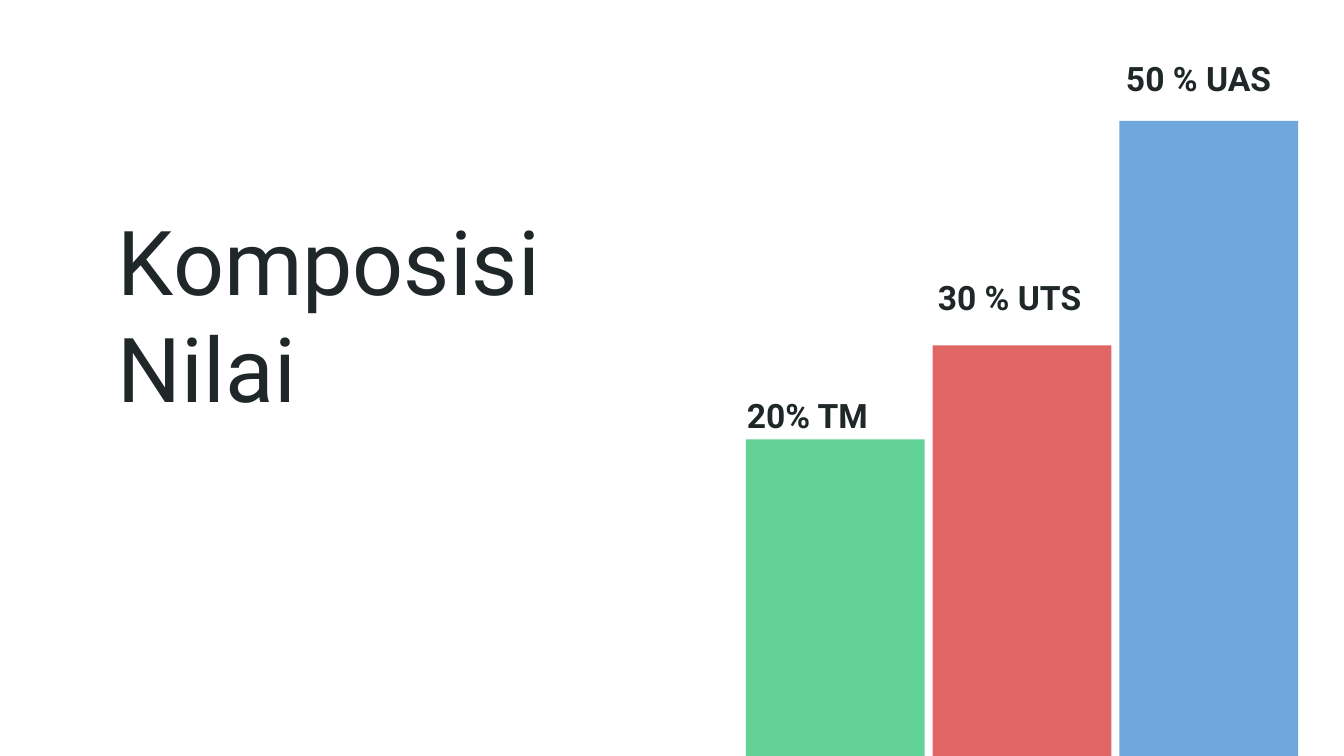
"""Build the grade composition slide: a title beside three rising bars."""
import dataclasses

import pptx
import pptx.dml.color
import pptx.enum.shapes
import pptx.enum.text
import pptx.util

SLIDE_WIDTH = 10
SLIDE_HEIGHT = SLIDE_WIDTH * 9 / 16
FIRST_COLUMN, COLUMN_STEP, BAR_WIDTH = 5.55, 1.39, 1.33
LABEL_WIDTH, LABEL_HEIGHT = 1.43, 0.58


@dataclasses.dataclass(frozen=True)
class Theme:
    font: str = "Roboto"
    ink: str = "202729"
    green: str = "63D297"
    red: str = "E06666"
    blue: str = "6FA8DC"
    title_size: int = 48
    label_size: int = 18


THEME = Theme()
BARS = [
    {"label": "20% TM", "color": THEME.green, "top": 3.27, "label_left": 5.46, "label_top": 2.76},
    {"label": "30 % UTS", "color": THEME.red, "top": 2.57, "label_left": 6.88, "label_top": 1.88},
    {"label": "50 % UAS", "color": THEME.blue, "top": 0.9, "label_left": 8.28, "label_top": 0.25},
]


def inches(*lengths):
    return [pptx.util.Inches(length) for length in lengths]


def set_format(target, values):
    for name, value in values.items():
        setattr(target, name, value)


def add_text(slide, text, area, size, bold=False):
    box = slide.shapes.add_textbox(*inches(*area))
    inset = pptx.util.Inches(0.1)
    set_format(box.text_frame, {
        "word_wrap": True,
        "vertical_anchor": pptx.enum.text.MSO_ANCHOR.BOTTOM,
        "margin_left": inset,
        "margin_top": inset,
        "margin_right": inset,
        "margin_bottom": inset,
    })
    span = box.text_frame.paragraphs[0].add_run()
    span.text = text
    set_format(span.font, {"name": THEME.font, "size": pptx.util.Pt(size), "bold": bold})
    span.font.color.rgb = pptx.dml.color.RGBColor.from_string(THEME.ink)


def add_bar(slide, column, top, color):
    left = FIRST_COLUMN + column * COLUMN_STEP
    bar = slide.shapes.add_shape(
        pptx.enum.shapes.MSO_SHAPE.RECTANGLE,
        *inches(left, top, BAR_WIDTH, SLIDE_HEIGHT - top),
    )
    bar.shadow.inherit = False
    bar.fill.solid()
    bar.fill.fore_color.rgb = pptx.dml.color.RGBColor.from_string(color)
    bar.line.fill.background()


def main():
    deck = pptx.Presentation()
    deck.slide_width, deck.slide_height = inches(SLIDE_WIDTH, SLIDE_HEIGHT)
    slide = deck.slides.add_slide(deck.slide_layouts[6])
    add_text(slide, "Komposisi Nilai", (0.78, 2.4, 4, 0.83), THEME.title_size)
    for column, bar in enumerate(BARS):
        add_bar(slide, column, bar["top"], bar["color"])
        label_area = (bar["label_left"], bar["label_top"], LABEL_WIDTH, LABEL_HEIGHT)
        add_text(slide, bar["label"], label_area, THEME.label_size, bold=True)
    deck.save("out.pptx")


if __name__ == "__main__":
    main()
